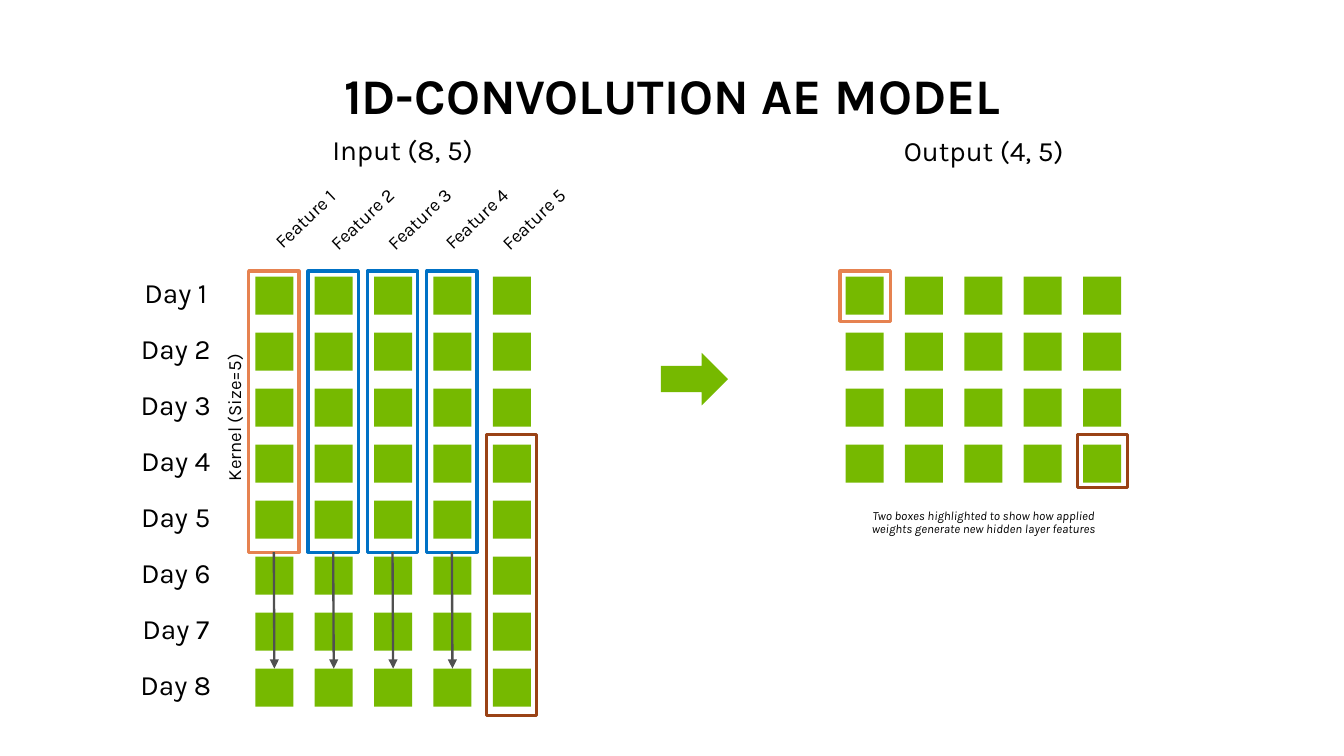
from lxml.etree import SubElement
from pptx import Presentation
from pptx.dml.color import RGBColor
from pptx.enum.shapes import MSO_CONNECTOR, MSO_SHAPE
from pptx.enum.text import MSO_ANCHOR, PP_ALIGN
from pptx.oxml.ns import qn
from pptx.util import Inches, Pt

COLORS = {
    "black": "000000",
    "green": "76B900",
    "orange": "E68250",
    "blue": "0071C5",
    "brown": "9A4216",
    "gray": "505050",
}
FONT = "Karla"

presentation = Presentation()
presentation.slide_width = Inches(12)
presentation.slide_height = Inches(6.75)
slide = presentation.slides.add_slide(presentation.slide_layouts[6])


def add_text(text, left, top, width, height, size=18, bold=False, italic=False,
             rotation=0, inset=0.1, anchor=MSO_ANCHOR.MIDDLE):
    box = slide.shapes.add_textbox(Inches(left), Inches(top), Inches(width), Inches(height))
    box.rotation = rotation
    frame = box.text_frame
    frame.word_wrap = True
    frame.vertical_anchor = anchor
    frame.margin_left = frame.margin_right = Inches(inset)
    paragraph = frame.paragraphs[0]
    paragraph.alignment = PP_ALIGN.CENTER
    paragraph.line_spacing = 0.9
    run = paragraph.add_run()
    run.text = text
    run.font.name = FONT
    run.font.size = Pt(size)
    run.font.bold = bold
    run.font.italic = italic
    run.font.color.rgb = RGBColor.from_string(COLORS["black"])


def add_block(left, top, width, height, fill=None, outline=None, kind=MSO_SHAPE.RECTANGLE):
    shape = slide.shapes.add_shape(kind, Inches(left), Inches(top), Inches(width), Inches(height))
    shape.shadow.inherit = False
    if fill:
        shape.fill.solid()
        shape.fill.fore_color.rgb = RGBColor.from_string(COLORS[fill])
    else:
        shape.fill.background()
    if outline:
        shape.line.color.rgb = RGBColor.from_string(COLORS[outline])
        shape.line.width = Pt(2)
    else:
        shape.line.fill.background()
    return shape


# Grid geometry
FEATURES, DAYS, OUTPUT_ROWS = 5, 8, 4
CELL, COLUMN_STEP, ROW_STEP = 0.34, 0.53, 0.5
GRID_TOP, INPUT_LEFT, OUTPUT_LEFT = 2.47, 2.28, 7.55
KERNEL_WIDTH, KERNEL_HEIGHT = 0.45, 2.51

# Headings
add_text("1D-CONVOLUTION AE MODEL", 0.55, 0.52, 10.91, 0.65, size=32, bold=True,
         anchor=MSO_ANCHOR.BOTTOM)
add_text("Input (8, 5)", 2.66, 1.17, 1.87, 0.37)
add_text("Output (4, 5)", 7.85, 1.18, 1.87, 0.37)

# Input and output grids
grids = []
for grid_left, rows in ((INPUT_LEFT, DAYS), (OUTPUT_LEFT, OUTPUT_ROWS)):
    grids.append([
        [add_block(grid_left + column * COLUMN_STEP, GRID_TOP + row * ROW_STEP,
                   CELL, CELL, fill="green") for column in range(FEATURES)]
        for row in range(rows)
    ])
last_day = grids[0][-1]

# Day and feature labels
for day in range(DAYS):
    add_text(f"Day {day + 1}", 1.12, 2.44 + day * ROW_STEP, 0.9, 0.37)
for feature in range(FEATURES):
    add_text(f"Feature {feature + 1}", 2.2 + feature * 0.51, 1.82, 1.06, 0.28,
             size=12, rotation=316.5)
add_text("Kernel (Size=5)", 1.41, 3.59, 1.38, 0.28, size=12, rotation=270, inset=0.05)

# Kernels at their start, each sliding down to the last day
for column, color in enumerate(("orange", "blue", "blue", "blue")):
    kernel = add_block(2.22 + column * COLUMN_STEP, 2.42, KERNEL_WIDTH, KERNEL_HEIGHT,
                       outline=color)
    arrow = slide.shapes.add_connector(MSO_CONNECTOR.STRAIGHT, 0, 0, 0, 0)
    arrow.begin_connect(kernel, 2)
    arrow.end_connect(last_day[column], 0)
    arrow.line.color.rgb = RGBColor.from_string(COLORS["gray"])
    arrow.line.width = Pt(1.5)
    SubElement(arrow.line._get_or_add_ln(), qn("a:tailEnd"), type="triangle")
    SubElement(arrow._element.spPr, qn("a:effectLst"))

# Kernel at its final position
add_block(4.34, 3.88, KERNEL_WIDTH, KERNEL_HEIGHT, outline="brown")

# Arrow from input to output
add_block(5.9, 3.15, 0.6, 0.47, fill="green", kind=MSO_SHAPE.RIGHT_ARROW)

# Highlighted output cells and caption
add_block(7.5, 2.42, 0.45, 0.45, outline="orange")
add_block(9.62, 3.88, 0.45, 0.47, outline="brown")
add_text("Two boxes highlighted to show how applied weights generate new hidden layer features",
         7.5, 4.5, 2.57, 0.34, size=8, italic=True)

presentation.save("out.pptx")
